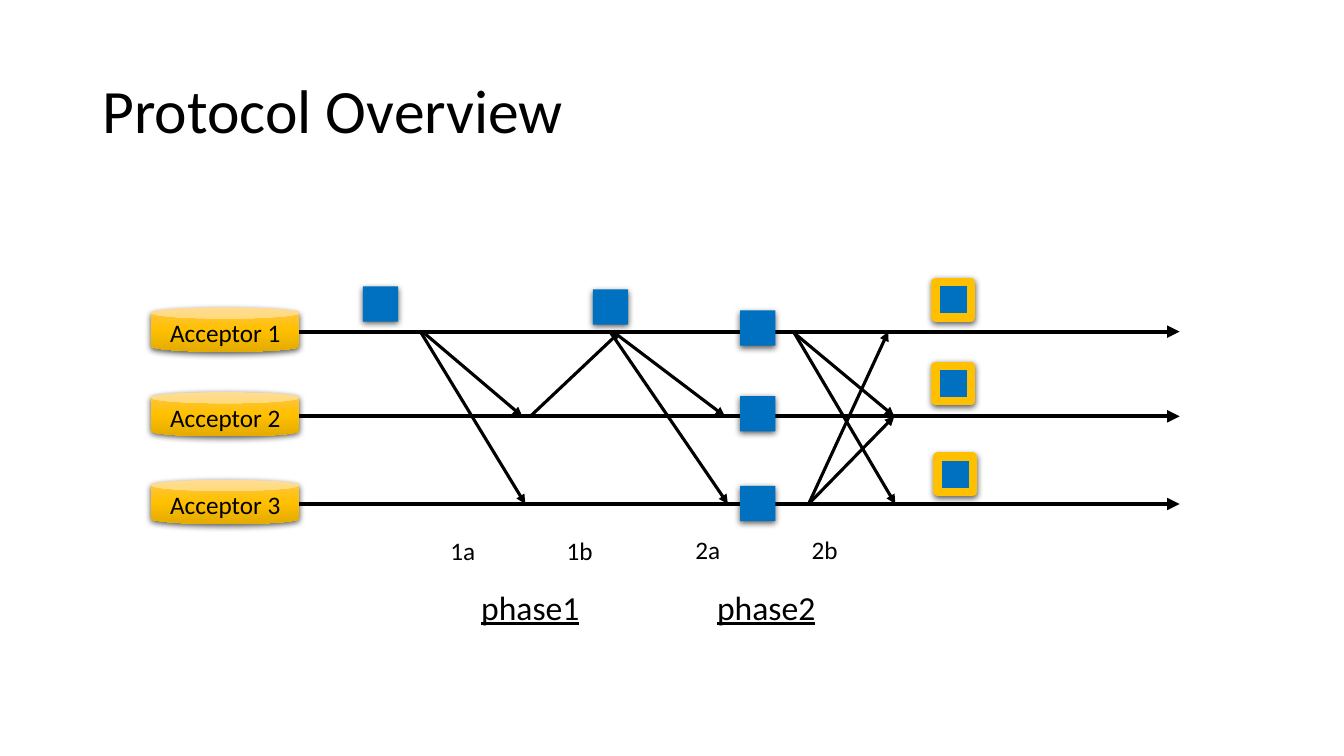
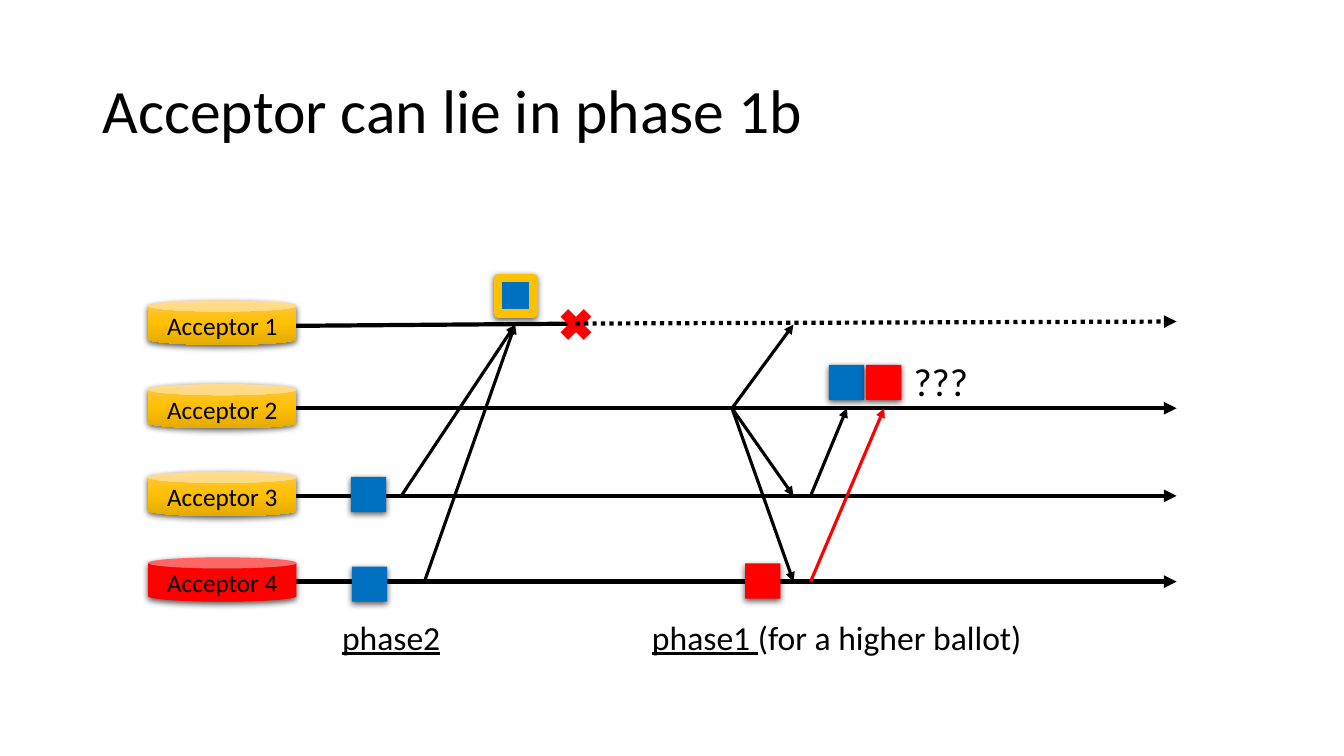
import copy

import pptx
import pptx.util
import pptx.dml.color
import pptx.enum.dml
import pptx.enum.shapes
import pptx.enum.text
import pptx.oxml
import pptx.oxml.ns
import pptx.oxml.xmlchemy

RGB = pptx.dml.color.RGBColor
BLACK = RGB(0x00, 0x00, 0x00)
BLUE = RGB(0x00, 0x70, 0xC0)
RED = RGB(0xFF, 0x00, 0x00)
GOLD = RGB(0xFF, 0xC0, 0x00)
GOLD_STOPS = [RGB(0xFF, 0xC6, 0x4B), GOLD, RGB(0xE3, 0xAB, 0x00)]

FONT = "Calibri"
SIDE = 0.35
CAN_W, CAN_H, CAN_RISE = 1.47, 0.44, 0.24
LANE_INSET, LANE_LENGTH = 0.54, 9.66
PHASE_W, PHASE_H = 4.07, 0.52
STEP_W, STEP_H = 0.6, 0.4
SHADOW = (
    '<a:effectLst xmlns:a="http://schemas.openxmlformats.org/drawingml/2006/main">'
    '<a:outerShdw blurRad="57150" dist="19050" dir="5400000" algn="ctr" rotWithShape="0">'
    '<a:srgbClr val="000000"><a:alpha val="63000"/></a:srgbClr>'
    '</a:outerShdw></a:effectLst>'
)

SLIDES = [
    {
        "title": "Protocol Overview",
        "left": 1.5,
        "lanes": [3.29, 4.13, 5.0],
        "arrows": [
            (5.26, 2, 6.15, 1, BLACK),
            (4.19, 1, 5.18, 2, BLACK),
            (4.17, 1, 5.21, 3, BLACK),
            (6.08, 1, 7.19, 2, BLACK),
            (6.05, 1, 7.22, 3, BLACK),
            (8.02, 3, 8.81, 1, BLACK),
            (7.86, 1, 8.87, 2, BLACK),
            (7.87, 1, 8.88, 3, BLACK),
            (8.02, 3, 8.87, 2, BLACK),
        ],
        "squares": [
            (3.6, 2.84, BLUE, False),
            (5.88, 2.87, BLUE, False),
            (9.28, 2.8, BLUE, True),
            (9.28, 3.63, BLUE, True),
            (9.3, 4.53, BLUE, True),
            (7.34, 3.08, BLUE, False),
            (7.34, 3.93, BLUE, False),
            (7.34, 4.82, BLUE, False),
        ],
        "steps": [(4.59, 5.46, "1a"), (5.75, 5.46, "1b"), (7.02, 5.45, "2a"), (8.18, 5.45, "2b")],
        "phases": [(5.26, 6.02, "phase1", ""), (7.6, 6.02, "phase2", "")],
    },
    {
        "title": "Acceptor can lie in phase 1b",
        "left": 1.47,
        "lanes": [3.22, 4.05, 4.92, 5.77],
        "crash": {"lane": 1, "from": 3.24, "at": (5.71, 3.21), "to": 3.19},
        "liar": 4,
        "arrows": [
            (4.21, 4, 5.11, 1, BLACK),
            (3.98, 3, 5.11, 1, BLACK),
            (7.26, 2, 7.87, 1, BLACK),
            (7.26, 2, 7.87, 3, BLACK),
            (7.26, 2, 7.87, 4, BLACK),
            (8.04, 4, 8.77, 2, RED),
            (8.04, 3, 8.4, 2, BLACK),
        ],
        "squares": [
            (4.94, 2.76, BLUE, True),
            (3.48, 4.73, BLUE, False),
            (3.49, 5.62, BLUE, False),
            (8.22, 3.62, BLUE, False),
            (7.39, 5.59, RED, False),
            (8.59, 3.62, RED, False),
        ],
        "question": (9.33, 3.78, "???"),
        "phases": [(8.3, 6.32, "phase1 ", "(for a higher ballot)"), (3.88, 6.32, "phase2", "")],
    },
]


def inches(*values):
    return [pptx.util.Inches(v) for v in values]


def write(tf, text, size, color=BLACK, font=FONT, align=pptx.enum.text.PP_ALIGN.CENTER):
    tf.text = text
    tf.vertical_anchor = pptx.enum.text.MSO_ANCHOR.MIDDLE
    p = tf.paragraphs[0]
    p.alignment = align
    style_run(p.runs[0], size, color, font)
    return p


def style_run(r, size, color=BLACK, font=FONT):
    r.font.size = pptx.util.Pt(size)
    r.font.name = font
    r.font.color.rgb = color


def label(s, center_x, center_y, w, h, text, size, color=BLACK, font=FONT):
    box = s.shapes.add_textbox(*inches(center_x - w / 2, center_y - h / 2, w, h))
    box.text_frame.word_wrap = False
    return write(box.text_frame, text, size, color, font)


def add_title(s, text):
    box = s.shapes.add_textbox(*inches(0.92, 0.4, 11.5, 1.45))
    box.text_frame.word_wrap = True
    p = write(box.text_frame, text, 44, align=pptx.enum.text.PP_ALIGN.LEFT)
    p.line_spacing = 0.9


def arrow(s, x1, y1, x2, y2, color=BLACK, width=2.25, dash=None):
    cxn = s.shapes.add_connector(pptx.enum.shapes.MSO_CONNECTOR.STRAIGHT, *inches(x1, y1, x2, y2))
    cxn.line.color.rgb = color
    cxn.line.width = pptx.util.Pt(width)
    if dash:
        cxn.line.dash_style = dash
    spPr = cxn._element.spPr
    tail = pptx.oxml.xmlchemy.OxmlElement("a:tailEnd")
    tail.set("type", "triangle")
    spPr.find(pptx.oxml.ns.qn("a:ln")).append(tail)
    spPr.append(pptx.oxml.xmlchemy.OxmlElement("a:effectLst"))


def shadowed(s, kind, x, y, w, h):
    sp = s.shapes.add_shape(kind, *inches(x, y, w, h))
    sp.line.fill.background()
    sp._element.spPr.append(pptx.oxml.parse_xml(SHADOW))
    return sp


def acceptor(s, x, lane_y, number, liar):
    sp = shadowed(s, pptx.enum.shapes.MSO_SHAPE.CAN, x, lane_y - CAN_RISE, CAN_W, CAN_H)
    if liar:
        sp.fill.solid()
        sp.fill.fore_color.rgb = RED
    else:
        sp.fill.gradient()
        sp.fill.gradient_angle = 270
        stops = sp._element.spPr.find(".//" + pptx.oxml.ns.qn("a:gsLst"))
        stops.insert(1, copy.deepcopy(stops[0]))
        for i, (stop, color) in enumerate(zip(sp.fill.gradient_stops, GOLD_STOPS)):
            stop.position = i / 2
            stop.color.rgb = color
    write(sp.text_frame, f"Acceptor {number}", 18)
    sp.text_frame.word_wrap = False


def square(s, x, y, color, accepted):
    sp = shadowed(s, pptx.enum.shapes.MSO_SHAPE.RECTANGLE, x, y, SIDE, SIDE)
    sp.fill.solid()
    sp.fill.fore_color.rgb = color
    if accepted:
        sp.line.color.rgb = GOLD
        sp.line.width = pptx.util.Pt(6)


def phase(s, x, y, name, note):
    p = label(s, x, y, PHASE_W, PHASE_H, name, 24)
    p.runs[0].font.underline = True
    if note:
        r = p.add_run()
        r.text = note
        style_run(r, 24)


def add_lanes(s, data):
    start = data["left"] + LANE_INSET
    end = start + LANE_LENGTH
    crash = data.get("crash")
    for number, y in enumerate(data["lanes"], 1):
        if crash and number == crash["lane"]:
            x, mid = crash["at"]
            arrow(s, start, crash["from"], x + 0.12, mid, width=3)
            label(s, x, mid - 0.01, 0.54, 0.64, "✖", 32, RED, "Arial")
            arrow(s, x, mid, end, crash["to"], width=3, dash=pptx.enum.dml.MSO_LINE.ROUND_DOT)
        else:
            arrow(s, start, y, end, y, width=3)
        acceptor(s, data["left"], y, number, number == data.get("liar"))


def build(s, data):
    add_title(s, data["title"])
    add_lanes(s, data)
    lanes = data["lanes"]
    for x1, lane1, x2, lane2, color in data["arrows"]:
        arrow(s, x1, lanes[lane1 - 1], x2, lanes[lane2 - 1], color)
    for item in data["squares"]:
        square(s, *item)
    for x, y, text in data.get("steps", []):
        label(s, x, y, STEP_W, STEP_H, text, 18)
    if "question" in data:
        x, y, text = data["question"]
        label(s, x, y, 0.75, 0.57, text, 28)
    for item in data["phases"]:
        phase(s, *item)


def main():
    prs = pptx.Presentation()
    prs.slide_width, prs.slide_height = inches(13.33, 7.5)
    for data in SLIDES:
        build(prs.slides.add_slide(prs.slide_layouts[6]), data)
    prs.save("out.pptx")


if __name__ == "__main__":
    main()
